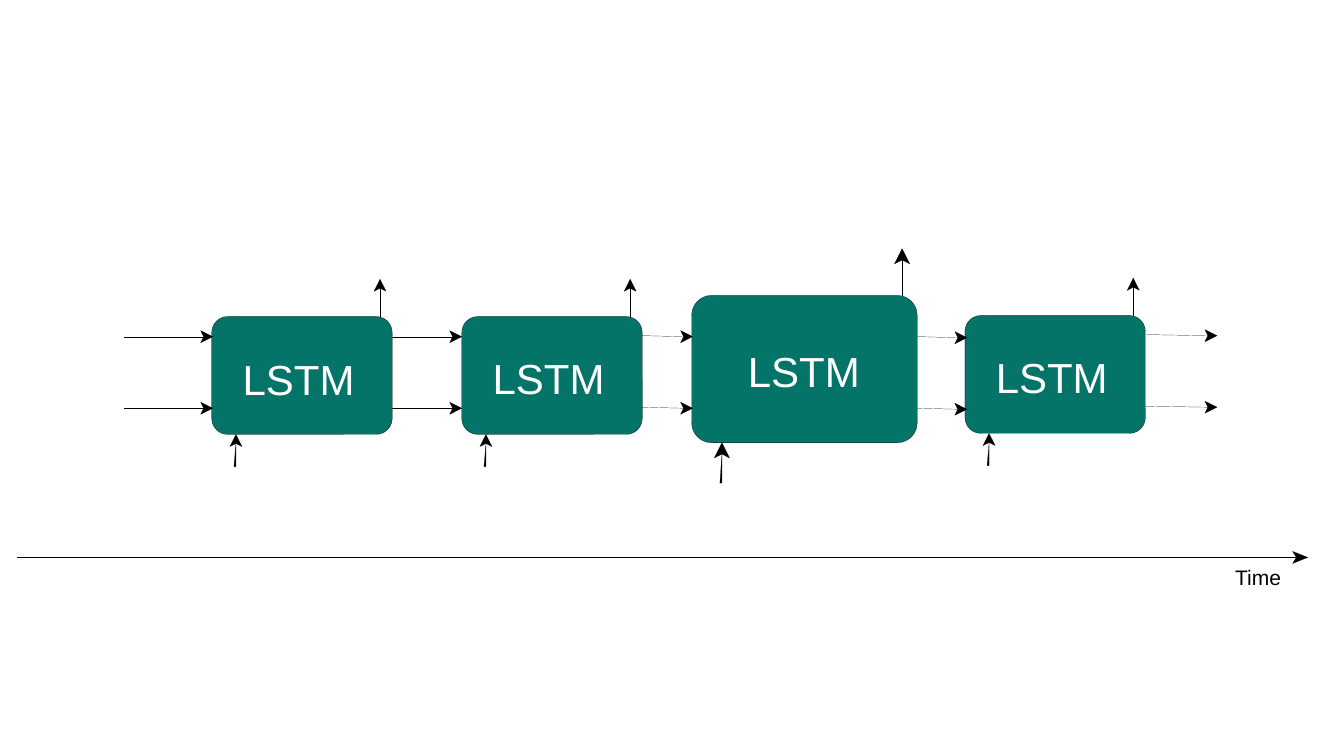
from pptx import Presentation
from pptx.dml.color import RGBColor
from pptx.enum.shapes import MSO_CONNECTOR, MSO_SHAPE
from pptx.enum.text import MSO_ANCHOR, PP_ALIGN
from pptx.oxml.ns import qn
from pptx.util import Inches, Pt
from lxml import etree

STRAIGHT = MSO_CONNECTOR.STRAIGHT
ROUNDED = MSO_SHAPE.ROUNDED_RECTANGLE
TOP = MSO_ANCHOR.TOP
LEFT = PP_ALIGN.LEFT

FONT = "Arial"
TEAL, BLACK, WHITE = "047368", "010101", "FFFFFF"
HAIRLINE = Pt(0.13)
CELL_W, CELL_H, CORNER = 1.79, 1.17, 0.135
HEAD = 0.12
LOWER_FLOW = 0.71

# Left, top, scale, label inset from the left and from the top
CELLS = [
    (2.10, 3.14, 1, 0.26, 0.32),
    (4.58, 3.14, 1, 0.26, 0.31),
    (6.86, 2.93, 1.25, 0.50, 0.44),
    (9.57, 3.13, 1, 0.26, 0.31),
]

# Start and tip of the upper flow into, between and out of the cells
FLOWS = [
    ((1.23, 3.34), (2.11, 3.34)),
    ((3.89, 3.34), (4.58, 3.34)),
    ((6.37, 3.33), (6.87, 3.34)),
    ((9.10, 3.34), (9.59, 3.35)),
    ((11.36, 3.32), (12.07, 3.33)),
]


def color(hex_code):
    return RGBColor.from_string(hex_code)


def paint(shape, fill):
    shape.shadow.inherit = False
    shape.fill.solid()
    shape.fill.fore_color.rgb = color(fill)
    shape.line.color.rgb = color(BLACK)
    shape.line.width = HAIRLINE


def write(shape, text, size, hex_code, margin_left=0, margin_top=0, wrap=True):
    frame = shape.text_frame
    frame.word_wrap = wrap
    frame.vertical_anchor = TOP
    frame.margin_left, frame.margin_top = Inches(margin_left), Inches(margin_top)
    frame.margin_right = frame.margin_bottom = 0
    paragraph = frame.paragraphs[0]
    paragraph.text = text
    paragraph.alignment = LEFT
    paragraph.font.name = FONT
    paragraph.font.size = Pt(size)
    paragraph.font.color.rgb = color(hex_code)


def add_outline(slide, points):
    corners = [(Inches(x), Inches(y)) for x, y in points]
    builder = slide.shapes.build_freeform(*corners[0])
    builder.add_line_segments(corners[1:], close=True)
    outline = builder.convert_to_shape()
    paint(outline, BLACK)


def add_shaft(slide, start, end):
    shaft = slide.shapes.add_connector(
        STRAIGHT, *(Inches(value) for value in (*start, *end)))
    shaft.line.color.rgb = color(BLACK)
    shaft.line.width = HAIRLINE
    etree.SubElement(shaft._element.spPr, qn("a:effectLst"))


def add_head(slide, tip, length=HEAD, width=HEAD, upward=False):
    """Notched arrowhead pointing right or up; returns its notch."""
    x, y = tip
    # Distance behind the tip, offset from the axis
    profile = [(0, 0), (length, width / 2), (0.75 * length, 0), (length, -width / 2)]
    points = [(x + side, y + back) if upward else (x - back, y + side)
              for back, side in profile]
    add_outline(slide, points)
    return points[2]


def add_arrow(slide, start, tip, **head):
    add_shaft(slide, start, add_head(slide, tip, **head))


def add_cell(slide, left, top, scale, label_x, label_y):
    bottom = top + CELL_H * scale
    head = HEAD * scale

    # Output
    output_x = left + 1.67 * scale
    add_arrow(slide, (output_x, top + 0.13 * scale), (output_x, top - 0.37 * scale),
              length=head, width=head, upward=True)

    # Cell body
    cell = slide.shapes.add_shape(
        ROUNDED, Inches(left), Inches(top),
        Inches(CELL_W * scale), Inches(CELL_H * scale))
    cell.adjustments[0] = CORNER
    paint(cell, TEAL)
    write(cell, "LSTM", 30, WHITE, label_x, label_y)

    # Input, with a tapering shaft
    input_x = left + 0.24 * scale
    notch = add_head(slide, (input_x, bottom), head, head, upward=True)
    tail = bottom + 0.32 * scale
    add_outline(slide, [(input_x - 0.02, tail), (input_x, tail), notch])


def main():
    deck = Presentation()
    deck.slide_width, deck.slide_height = Inches(13.33), Inches(7.5)
    slide = deck.slides.add_slide(deck.slide_layouts[6])

    # Time axis
    add_arrow(slide, (0.17, 5.53), (12.97, 5.53), length=0.15)
    time_label = slide.shapes.add_textbox(
        Inches(12.25), Inches(5.6), Inches(0.52), Inches(0.28))
    write(time_label, "Time", 15, BLACK, wrap=False)

    # Unrolled network
    for cell in CELLS:
        add_cell(slide, *cell)
    for (start_x, start_y), (tip_x, tip_y) in FLOWS:
        for drop in (0, LOWER_FLOW):
            add_arrow(slide, (start_x, start_y + drop), (tip_x, tip_y + drop))

    deck.save("out.pptx")


if __name__ == "__main__":
    main()
